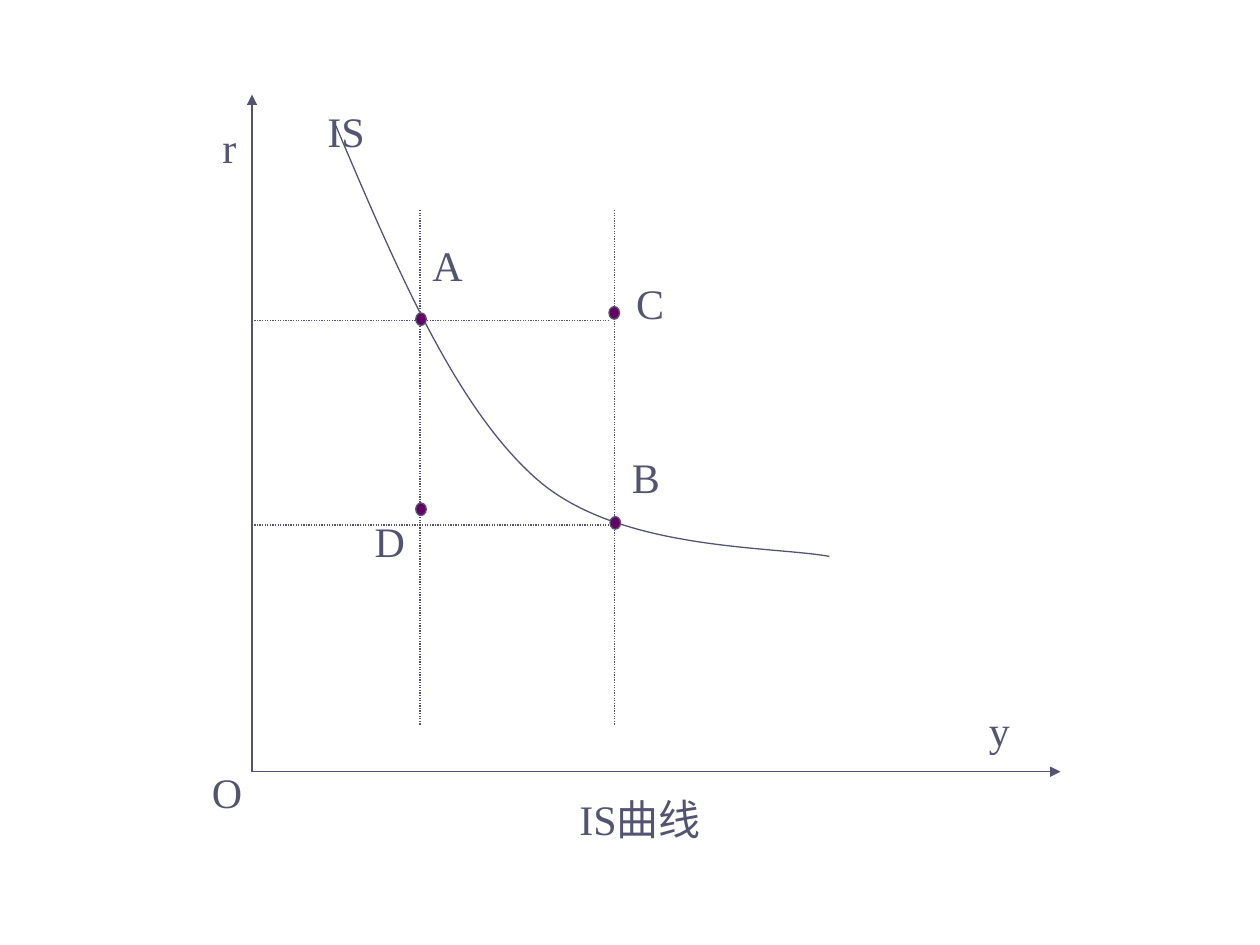
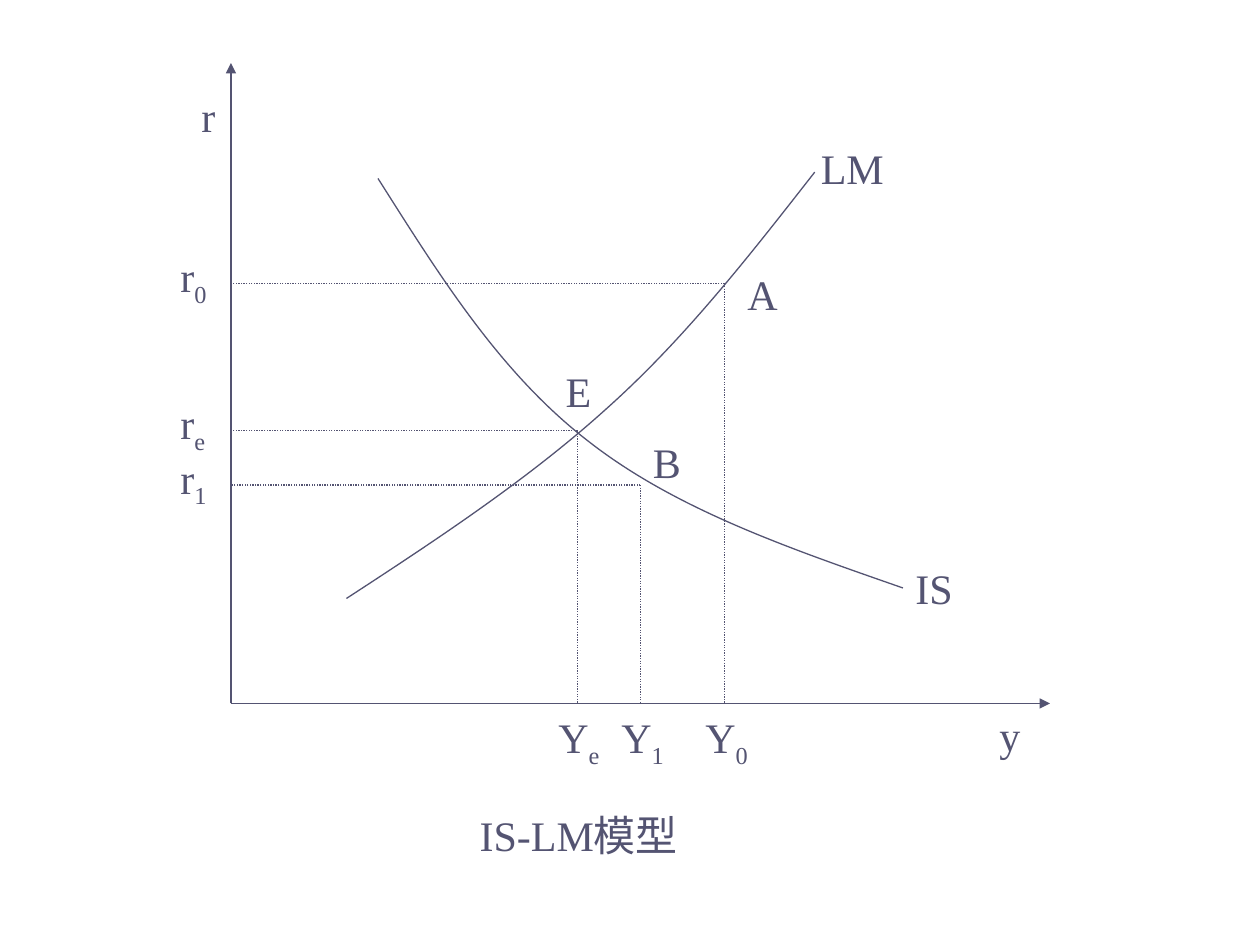
from pptx import Presentation, util as u
from pptx.dml.color import RGBColor
from pptx.enum import dml, shapes, text
from pptx.oxml import ns
from lxml import etree

COLORS = {"ink": "545472", "dot": "660066", "paper": "FFFFFF"}
FONT, SIZE = "Times New Roman", u.Pt(24)
COLS, ROWS = 120, 90
LABEL_H, SUB_H = 6, 6.7
DOT_W, DOT_H = 1, 1.2

prs = Presentation()
prs.slide_width, prs.slide_height = u.Inches(10), u.Inches(7.5)
CELL = prs.slide_width // COLS  # square cells, 120 columns by 90 rows


def grid(*lengths):
    return [round(n * CELL) for n in lengths]


def style_line(shape, dotted=False, arrow=False):
    """Thin ink line without a shadow."""
    shape.line.color.rgb = RGBColor.from_string(COLORS["ink"])
    shape.line.width = u.Pt(0.75)
    if dotted:
        shape.line.dash_style = dml.MSO_LINE.ROUND_DOT
    if arrow:
        ln = shape.line._get_or_add_ln()
        etree.SubElement(ln, ns.qn("a:tailEnd"), type="triangle")
    spPr = shape._element.spPr
    if spPr.find(ns.qn("a:effectLst")) is None:
        etree.SubElement(spPr, ns.qn("a:effectLst"))


# All positions are (column, row); labels are (text, column, row, width).
# A curve is its start followed by three Bezier points per segment.
is_diagram = {
    "origin": (24, 73.5), "r_top": 9, "y_end": 101,
    "curves": [[(32, 12), (37.7, 25.4), (43.4, 38.9), (51.2, 45.7),
                (59, 52.5), (73.6, 52), (79, 53)]],
    "guides": [(58, 30.5, 24, 30.5), (58, 50, 24, 50),
               (58.55, 20, 58.55, 69), (40, 20, 40, 69)],
    "dots": [(40.1, 30.4), (58.6, 49.8), (58.5, 29.8), (40.1, 48.5)],
    "labels": [("O", 19, 72.4, 8), ("r", 20, 11, 8), ("y", 93, 66.5, 9),
               ("IS", 30, 9.5, 10), ("A", 40, 22.2, 7), ("B", 59, 42.4, 6),
               ("C", 59.4, 25.8, 7), ("D", 34.5, 48.5, 5)],
    "caption": ("IS曲线", 54, 75, 14, 10.8, True),
}

corner = (22, 67)
equilibrium = [("e", 55, 41), ("1", 61, 46.2), ("0", 69, 27)]
is_lm_diagram = {
    "origin": corner, "r_top": 6, "y_end": 100,
    "curves": [[(77.6, 16.4), (71.5, 24.2), (65.3, 32.2), (57.8, 38.9),
                (50.4, 45.6), (41.6, 51.4), (33, 57)],
               [(36, 17), (41.9, 26.3), (47.6, 35.5), (56, 42),
                (64.3, 48.5), (75.1, 52.2), (86, 56)]],
    "guides": [g for _, x, y in equilibrium
               for g in ((x, y, corner[0], y), (x, y, x, corner[1]))],
    "dots": [],
    "labels": [("r", 18, 8, 5), ("y", 94, 67, 9),
               ("LM", 77, 13, 12), ("IS", 86, 53, 7),
               ("A", 70, 25, 7), ("B", 61, 41, 7), ("E", 52.7, 34.2, 7)]
              + [("Y_" + n, x - 3, 67.2, 7) for n, x, _ in equilibrium]
              + [("r_" + n, 16, y - 3.7, 7) for n, _, y in equilibrium],
    "caption": ("IS-LM模型", 44.5, 76.5, 22.2, 6, False),
}

for d in (is_diagram, is_lm_diagram):
    s = prs.slides.add_slide(prs.slide_layouts[6])
    s.background.fill.solid()
    s.background.fill.fore_color.rgb = RGBColor.from_string(COLORS["paper"])

    x0, y0 = d["origin"]
    axes = [(x0, y0, x0, d["r_top"]), (x0, y0, d["y_end"], y0)]
    for ends in axes + d["guides"]:
        is_axis = ends in axes
        line = s.shapes.add_connector(shapes.MSO_CONNECTOR.STRAIGHT, *grid(*ends))
        style_line(line, dotted=not is_axis, arrow=is_axis)

    for points in d["curves"]:
        start, *rest = [grid(*pt) for pt in points]
        builder = s.shapes.build_freeform(*start)
        builder.add_line_segments(rest, close=False)
        curve = builder.convert_to_shape()
        curve.fill.background()
        style_line(curve)
        # Turn each run of three straight steps into one cubic segment.
        steps = list(curve._element.iter(ns.qn("a:lnTo")))
        for i in range(0, len(steps), 3):
            bezier = etree.Element(ns.qn("a:cubicBezTo"))
            steps[i].addprevious(bezier)
            for step in steps[i:i + 3]:
                bezier.append(step[0])
                step.getparent().remove(step)

    for x, y in d["dots"]:
        dot = s.shapes.add_shape(shapes.MSO_SHAPE.OVAL, *grid(
            x - DOT_W / 2, y - DOT_H / 2, DOT_W, DOT_H))
        dot.fill.solid()
        dot.fill.fore_color.rgb = RGBColor.from_string(COLORS["dot"])
        style_line(dot)

    labels = [(t, x, y, w, SUB_H if "_" in t else LABEL_H, True)
              for t, x, y, w in d["labels"]]
    for label, x, y, w, h, wrap in labels + [d["caption"]]:
        tf = s.shapes.add_textbox(*grid(x, y, w, h)).text_frame
        tf.word_wrap = wrap
        tf.auto_size = text.MSO_AUTO_SIZE.SHAPE_TO_FIT_TEXT
        p = tf.paragraphs[0]
        p.font.name, p.font.size = FONT, SIZE
        p.font.color.rgb = RGBColor.from_string(COLORS["ink"])
        base, _, subscript = label.partition("_")
        p.add_run().text = base
        if subscript:
            r = p.add_run()
            r.text = subscript
            r.font._element.set("baseline", "-25000")

prs.save("out.pptx")
